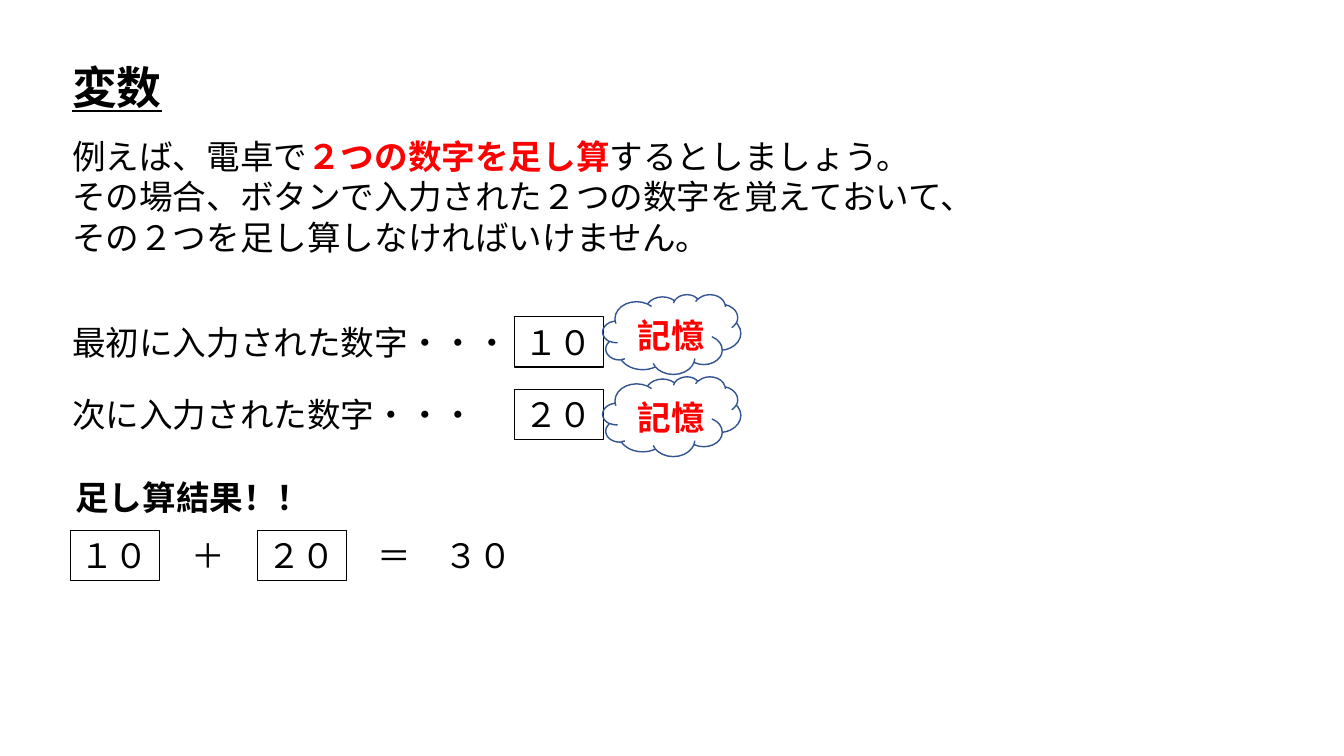
import dataclasses

import pptx
import pptx.dml.color
import pptx.enum.shapes
import pptx.enum.text
import pptx.oxml
import pptx.oxml.ns
import pptx.util

Cm = pptx.util.Cm
Pt = pptx.util.Pt
SHAPES = pptx.enum.shapes.MSO_SHAPE


@dataclasses.dataclass(frozen=True)
class Theme:
    font: str = "Noto Sans CJK JP"
    ink: str = "000000"
    accent: str = "FF0000"
    cloud_line: str = "325491"
    title_size: int = 32
    body_size: int = 24


THEME = Theme()
LINE_HEIGHT = Cm(1.27)
NUMBER_WIDTH = Cm(2.24)


def rgb(code):
    return pptx.dml.color.RGBColor.from_string(code)


def write(holder, paragraphs, size=THEME.body_size, underline=False):
    """Fill a holder with paragraphs made of (words, colour, bold) runs."""
    frame = holder.text_frame
    frame.word_wrap = False
    frame.auto_size = pptx.enum.text.MSO_AUTO_SIZE.SHAPE_TO_FIT_TEXT
    frame.vertical_anchor = pptx.enum.text.MSO_ANCHOR.TOP
    for index, runs in enumerate(paragraphs):
        paragraph = frame.add_paragraph() if index else frame.paragraphs[0]
        paragraph.alignment = pptx.enum.text.PP_ALIGN.LEFT
        for words, colour, bold in runs:
            run = paragraph.add_run()
            run.text = words
            run.font.name = THEME.font
            run.font.size = Pt(size)
            run.font.bold = bold
            run.font.underline = underline
            run.font.color.rgb = rgb(colour)
            # East Asian typeface
            east_asian = pptx.oxml.parse_xml(
                f'<a:ea {pptx.oxml.ns.nsdecls("a")} typeface="{THEME.font}"/>')
            run.font._element.append(east_asian)


def add_text(slide, left, top, width, words, colour=THEME.ink, bold=False):
    label = slide.shapes.add_textbox(left, top, width, LINE_HEIGHT)
    write(label, [[(words, colour, bold)]])


def add_outline(slide, kind, left, top, width, height, colour, weight):
    outline = slide.shapes.add_shape(kind, left, top, width, height)
    outline.shadow.inherit = False
    outline.fill.background()
    outline.line.color.rgb = rgb(colour)
    outline.line.width = Pt(weight)
    return outline


def add_number(slide, left, top, digits):
    number = add_outline(slide, SHAPES.RECTANGLE, left, top,
                         NUMBER_WIDTH, LINE_HEIGHT, THEME.ink, 0.75)
    write(number, [[(digits, THEME.ink, False)]])


def add_memory_cloud(slide, left, top):
    add_outline(slide, SHAPES.CLOUD, left, top, Cm(3.48), Cm(2.01),
                THEME.cloud_line, 1)
    add_text(slide, left + Cm(0.63), top + Cm(0.39), NUMBER_WIDTH,
             "記憶", THEME.accent, True)


def add_introduction(slide, left, top):
    # Heading
    heading = slide.shapes.add_textbox(left, top, Cm(2.8), Cm(1.62))
    write(heading, [[("変数", THEME.ink, True)]], THEME.title_size, True)
    # Explanation
    explanation = slide.shapes.add_textbox(left, top + Cm(1.93), Cm(23.6), Cm(3.33))
    write(explanation, [
        [("例えば、電卓で", THEME.ink, False),
         ("２つの数字を足し算", THEME.accent, True),
         ("するとしましょう。", THEME.ink, False)],
        [("その場合、ボタンで入力された２つの数字を覚えておいて、", THEME.ink, False)],
        [("その２つを足し算しなければいけません。", THEME.ink, False)],
    ])


def add_inputs(slide, left, top):
    entries = [("最初に入力された数字・・・", Cm(11.63), "１０"),
               ("次に入力された数字・・・", Cm(10.77), "２０")]
    for index, (caption, width, digits) in enumerate(entries):
        row_top = top + index * Cm(1.83)
        add_text(slide, left, row_top, width, caption)
        add_number(slide, left + Cm(11.4), row_top, digits)
        add_memory_cloud(slide, left + Cm(13.62),
                         top - Cm(0.56) + index * Cm(2.07))


def add_result(slide, left, top):
    add_text(slide, left, top, Cm(6.5), "足し算結果！！", bold=True)
    # Sum
    sum_top = top + Cm(1.47)
    add_number(slide, left + Cm(0.13), sum_top, "１０")
    add_text(slide, left + Cm(2.92), sum_top, Cm(1.38), "＋")
    add_number(slide, left + Cm(4.85), sum_top, "２０")
    add_text(slide, left + Cm(7.62), sum_top, Cm(3.94), "＝　３０")


def main():
    deck = pptx.Presentation()
    deck.slide_width, deck.slide_height = Cm(33.87), Cm(19.05)
    slide = deck.slides.add_slide(deck.slide_layouts[6])
    add_introduction(slide, Cm(1.57), Cm(1.37))
    add_inputs(slide, Cm(1.57), Cm(7.98))
    add_result(slide, Cm(1.65), Cm(11.89))
    deck.save("out.pptx")


if __name__ == "__main__":
    main()
